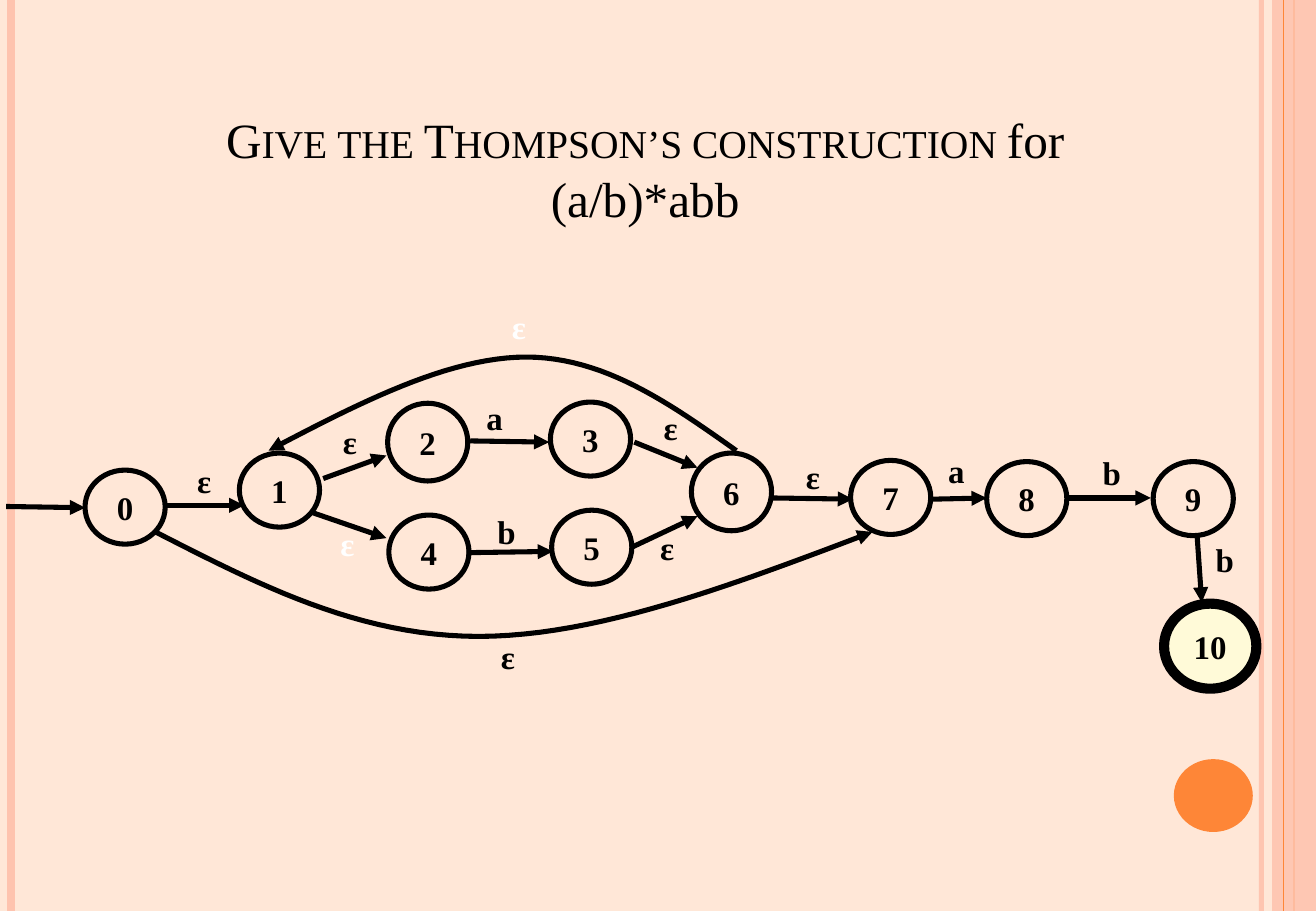
from typing import Any, NamedTuple

from lxml import etree
from pptx import Presentation
from pptx import util as u
from pptx.dml import color
from pptx.enum import shapes, text
from pptx.oxml import ns

FONT = "Times New Roman"
HUES = {"paper": "FFE7D7", "pink": "FEC3AE", "orange": "FE8637",
        "cream": "FFFAD8", "black": "000000", "white": "FFFFFF"}


class Stripe(NamedTuple):
    x: float
    hue: str
    width: float
    alpha: int = 100


class State(NamedTuple):
    name: str
    x: float
    y: float
    w: float = 0.66
    h: float = 0.61
    fill: str = ""
    line: float = 3


class Label(NamedTuple):
    name: str
    x: float
    y: float
    hue: str = "black"
    w: float = 0.52
    h: float = 0.31


class Arrow(NamedTuple):
    x1: float
    y1: float
    x2: float
    y2: float


class Curve(NamedTuple):
    start: tuple[float, float]
    bends: list[list[tuple[float, float]]]


STRIPES = [Stripe(10.38, "pink", 3, 93), Stripe(0.09, "pink", 4.5),
           Stripe(10.65, "orange", 1.5)]
EDGE = Stripe(10.56, "orange", 0.75)

STATES = [
    State("0", 0.7, 3.87), State("1", 1.97, 3.73),
    State("2", 3.19, 3.32, h=0.64), State("3", 4.53, 3.31),
    State("4", 3.2, 4.24), State("5", 4.54, 4.2),
    State("6", 5.69, 3.73, h=0.64), State("7", 7, 3.79),
    State("8", 8.12, 3.8), State("9", 9.49, 3.8),
    State("10", 9.58, 4.97, 0.76, 0.7, "cream", 6),
]
LABELS = [
    Label("ε", 1.42, 3.8), Label("ε", 2.62, 3.48),
    Label("ε", 2.6, 4.32, "white"), Label("a", 3.81, 3.28),
    Label("b", 3.91, 4.22), Label("ε", 5.26, 3.36),
    Label("ε", 5.23, 4.35), Label("ε", 4.01, 2.53, "white"),
    Label("ε", 3.92, 5.25), Label("ε", 6.43, 3.77),
    Label("a", 7.61, 3.7, h=0.35), Label("b", 8.89, 3.73),
    Label("b", 9.82, 4.45),
]
ARROWS = [
    Arrow(0.05, 4.17, 0.7, 4.18), Arrow(1.36, 4.16, 2.01, 4.16),
    Arrow(2.66, 3.94, 3.18, 3.75), Arrow(2.57, 4.22, 3.18, 4.43),
    Arrow(3.87, 3.63, 4.52, 3.64), Arrow(3.84, 4.55, 4.55, 4.54),
    Arrow(5.22, 3.64, 5.74, 3.85), Arrow(5.19, 4.51, 5.74, 4.25),
    Arrow(6.36, 4.1, 7.02, 4.11), Arrow(7.66, 4.11, 8.12, 4.1),
    Arrow(8.78, 4.1, 9.47, 4.1), Arrow(9.85, 4.39, 9.89, 4.96),
]
CURVES = [
    Curve((1.28, 4.38), [[(2.12, 4.81), (2.95, 5.24), (3.94, 5.24)],
                         [(4.92, 5.24), (6.05, 4.81), (7.18, 4.38)]]),
    Curve((6.06, 3.71), [[(5.51, 3.32), (4.97, 2.94), (4.33, 2.94)],
                         [(3.69, 2.94), (2.95, 3.32), (2.21, 3.71)]]),
]


def tint(name: str) -> color.RGBColor:
    return color.RGBColor.from_string(HUES[name])


def fade(item: Any, alpha: int) -> None:
    if alpha < 100:
        for node in item._element.spPr.iter(ns.qn("a:srgbClr")):
            etree.SubElement(node, ns.qn("a:alpha"), val=str(alpha * 1000))


def stroke(item: Any, hue: str, width: float, head: bool = False) -> None:
    item.line.color.rgb = tint(hue)
    item.line.width = u.Pt(width)
    if head:
        ln = item._element.spPr.find(ns.qn("a:ln"))
        etree.SubElement(ln, ns.qn("a:tailEnd"), type="triangle")


def link(tree: Any, ends: Arrow, hue: str, width: float, head: bool) -> Any:
    item = tree.add_connector(shapes.MSO_CONNECTOR.STRAIGHT,
                              *(u.Inches(v) for v in ends))
    stroke(item, hue, width, head)
    etree.SubElement(item._element.spPr, ns.qn("a:effectLst"))
    return item


def stripe(tree: Any, bar: Stripe) -> None:
    ends = Arrow(bar.x, 0, bar.x, 7.5)
    fade(link(tree, ends, bar.hue, bar.width, False), bar.alpha)


def form(tree: Any, kind: Any, x: float, y: float, w: float, h: float,
         fill: str = "", line: float = 0) -> Any:
    item = tree.add_shape(kind, *(u.Inches(v) for v in (x, y, w, h)))
    item.shadow.inherit = False
    if fill:
        item.fill.solid()
        item.fill.fore_color.rgb = tint(fill)
    else:
        item.fill.background()
    if line:
        stroke(item, "black", line)
    else:
        item.line.fill.background()
    return item


def write(para: Any, words: str, size: float, hue: str, bold: bool) -> Any:
    run = para.add_run()
    run.text = words
    run.font.name = FONT
    run.font.size = u.Pt(size)
    run.font.bold = bold
    run.font.color.rgb = tint(hue)
    return run


def mark(item: Any, words: str, hue: str = "black") -> None:
    frame = item.text_frame
    frame.word_wrap = False
    frame.margin_left = frame.margin_right = 0
    frame.margin_top = frame.margin_bottom = 0
    frame.vertical_anchor = text.MSO_ANCHOR.MIDDLE
    para = frame.paragraphs[0]
    para.alignment = text.PP_ALIGN.CENTER
    write(para, words, 19.5, hue, True)


def bend(tree: Any, curve: Curve, steps: int = 24) -> None:
    last = curve.start
    dots = []
    for trio in curve.bends:
        nodes = [last, *trio]
        for i in range(1, steps + 1):
            t = i / steps
            parts = ((1 - t) ** 3, 3 * t * (1 - t) ** 2,
                     3 * t * t * (1 - t), t ** 3)
            dots.append(tuple(u.Inches(sum(p * n[k] for p, n in zip(parts, nodes)))
                              for k in (0, 1)))
        last = trio[-1]
    pen = tree.build_freeform(*(u.Inches(v) for v in curve.start))
    pen.add_line_segments(dots, close=False)
    item = pen.convert_to_shape()
    item.shadow.inherit = False
    item.fill.background()
    stroke(item, "black", 3, True)


def title(tree: Any) -> None:
    box = tree.add_textbox(*(u.Inches(v) for v in (1.28, 0.74, 8.06, 1.18)))
    frame = box.text_frame
    frame.word_wrap = True
    frame.vertical_anchor = text.MSO_ANCHOR.BOTTOM
    para = frame.paragraphs[0]
    para.alignment = text.PP_ALIGN.CENTER
    run = write(para, "Give the Thompson’s construction ", 29.2, "black", False)
    run._r.get_or_add_rPr().set("cap", "small")
    write(para, "for (a/b)*abb", 29.2, "black", False)


def main() -> None:
    deck = Presentation()
    deck.slide_width, deck.slide_height = u.Inches(10.83), u.Inches(7.5)
    slide = deck.slides.add_slide(deck.slide_layouts[6])
    slide.background.fill.solid()
    slide.background.fill.fore_color.rgb = tint("paper")
    tree = slide.shapes
    kind = shapes.MSO_SHAPE
    for bar in STRIPES:
        stripe(tree, bar)
    fade(form(tree, kind.RECTANGLE, 10.47, 0, 0.36, 7.5, "pink"), 87)
    stripe(tree, EDGE)
    form(tree, kind.OVAL, 9.66, 6.25, 0.65, 0.6, "orange")
    title(tree)
    for curve in CURVES:
        bend(tree, curve)
    for s in STATES:
        mark(form(tree, kind.OVAL, s.x, s.y, s.w, s.h, s.fill, s.line), s.name)
    for arrow in ARROWS:
        link(tree, arrow, "black", 3, True)
    for tag in LABELS:
        mark(form(tree, kind.OVAL, tag.x, tag.y, tag.w, tag.h), tag.name, tag.hue)
    deck.save("out.pptx")


if __name__ == "__main__":
    main()
